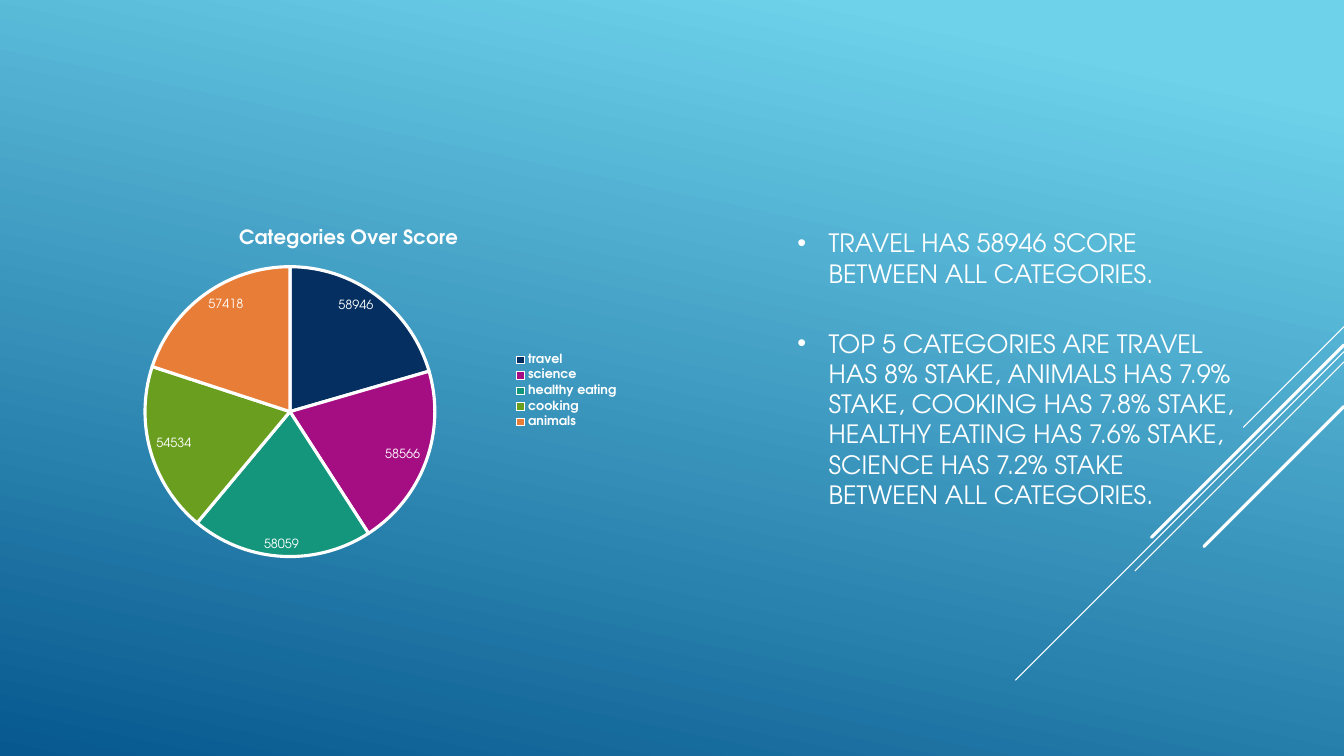
from lxml import etree
from pptx import Presentation
from pptx.chart.data import CategoryChartData
from pptx.dml.color import RGBColor
from pptx.enum.chart import XL_CHART_TYPE, XL_LABEL_POSITION, XL_LEGEND_POSITION
from pptx.enum.shapes import MSO_CONNECTOR
from pptx.enum.text import MSO_ANCHOR, MSO_AUTO_SIZE, PP_ALIGN
from pptx.oxml.ns import qn
from pptx.util import Cm, Pt

FONT = "TeX Gyre Adventor"
COLORS = {
    "white": "FFFFFF",
    "sky": "6ED2EB",
    "deep": "06588E",
    "travel": "052F61",
    "science": "A50E82",
    "healthy eating": "14967C",
    "cooking": "6A9E1F",
    "animals": "E87D37",
}
SCORES = {
    "travel": 58946,
    "science": 58566,
    "healthy eating": 58059,
    "cooking": 54534,
    "animals": 57418,
}
FINDINGS = [
    "TRAVEL HAS 58946 SCORE BETWEEN ALL CATEGORIES.",
    "TOP 5 CATEGORIES ARE TRAVEL HAS 8% STAKE, ANIMALS HAS 7.9% STAKE, "
    "COOKING HAS 7.8% STAKE, HEALTHY EATING HAS 7.6% STAKE, "
    "SCIENCE HAS 7.2% STAKE BETWEEN ALL CATEGORIES.",
]
SLIDE_W, SLIDE_H = 33.87, 19.05
# Top at the right edge, horizontal reach (cm) and width (pt)
DIAGONALS = [
    (8.23, 2.54, 0.75),
    (8.86, 8.28, 0.75),
    (9.12, 5.27, 0.75),
    (8.69, 4.85, 2.25),
    (10.24, 3.53, 2.25),
]


def rgb(name):
    return RGBColor.from_string(COLORS[name])


def style_font(font, size, bold=False, color="white"):
    font.name = FONT
    font.size = Pt(size)
    font.bold = bold
    font.color.rgb = rgb(color)


def add_text(p, text, size=18, bold=False, color="white"):
    r = p.add_run()
    r.text = text
    style_font(r.font, size, bold, color)
    return r


def set_background(s):
    fill = s.background.fill
    fill.gradient()
    fill.gradient_angle = 360 - 102
    for stop, position, color in zip(fill.gradient_stops, (0.1, 1), ("sky", "deep")):
        stop.position = position
        stop.color.rgb = rgb(color)


def add_diagonal(s, top, reach, width):
    """Draw a 45-degree line down and left from the right edge."""
    line = s.shapes.add_connector(
        MSO_CONNECTOR.STRAIGHT,
        Cm(SLIDE_W), Cm(top), Cm(SLIDE_W - reach), Cm(top + reach),
    )
    line.line.color.rgb = rgb("white")
    line.line.width = Pt(width)
    if width > 1:
        line.line._get_or_add_ln().set("cap", "rnd")
    etree.SubElement(line.element.spPr, qn("a:effectLst"))


def place_plot(chart, **box):
    """Fix the inner plot area, in fractions of the chart."""
    area = chart.element.find(".//" + qn("c:plotArea"))
    for old in area.findall(qn("c:layout")):
        area.remove(old)
    layout = etree.Element(qn("c:layout"))
    manual = etree.SubElement(layout, qn("c:manualLayout"))
    settings = {"layoutTarget": "inner", "xMode": "edge", "yMode": "edge", **box}
    for tag, value in settings.items():
        etree.SubElement(manual, qn(f"c:{tag}")).set("val", str(value))
    area.insert(0, layout)


def add_score_pie(s):
    data = CategoryChartData()
    data.categories = list(SCORES)
    data.add_series("Series 1", list(SCORES.values()))
    chart = s.shapes.add_chart(
        XL_CHART_TYPE.PIE, Cm(1.73), Cm(5.33), Cm(14.12), Cm(9.04), data
    ).chart
    style_font(chart.font, 10)

    chart.has_title = True
    add_text(chart.chart_title.text_frame.paragraphs[0],
             "Categories Over Score", size=14, bold=True)
    chart.chart_title.include_in_layout = False
    chart.has_legend = True
    chart.legend.position = XL_LEGEND_POSITION.RIGHT
    chart.legend.include_in_layout = False
    style_font(chart.legend.font, 9, bold=True)

    plot = chart.plots[0]
    plot.vary_by_categories = True
    series = plot.series[0]
    for i, category in enumerate(SCORES):
        fmt = series.points[i].format
        fmt.fill.solid()
        fmt.fill.fore_color.rgb = rgb(category)
        fmt.line.color.rgb = rgb("white")
        fmt.line.width = Pt(2.25)

    labels = series.data_labels
    labels.show_value = True
    labels.position = XL_LABEL_POSITION.INSIDE_END
    style_font(labels.font, 9)
    place_plot(chart, x=0.136, y=0.154, w=0.518, h=0.808)


def set_bullet(p, indent):
    pPr = p._p.get_or_add_pPr()
    pPr.set("marL", str(indent))
    pPr.set("indent", str(-indent))
    etree.SubElement(pPr, qn("a:buFont")).set("typeface", "Arial")
    etree.SubElement(pPr, qn("a:buChar")).set("char", "•")


def fill_findings(s, body):
    body.left, body.top, body.width, body.height = Cm(19.84), Cm(5.61), Cm(11.56), Cm(8.2)
    tf = body.text_frame
    tf.word_wrap = True
    tf.auto_size = MSO_AUTO_SIZE.NONE
    tf.vertical_anchor = MSO_ANCHOR.TOP
    for i, finding in enumerate(FINDINGS):
        p = tf.add_paragraph() if i else tf.paragraphs[0]
        p.alignment = PP_ALIGN.LEFT
        p.line_spacing = Pt(21.6)
        p.space_before = Pt(28.5 if i else 0)
        p.space_after = Pt(0)
        set_bullet(p, Cm(0.79))
        add_text(p, finding)
    s.shapes.element.append(body.element)


def main():
    prs = Presentation()
    prs.slide_width, prs.slide_height = Cm(SLIDE_W), Cm(SLIDE_H)
    s = prs.slides.add_slide(prs.slide_layouts[1])
    title = s.shapes.title.element
    title.getparent().remove(title)
    set_background(s)
    for diagonal in DIAGONALS:
        add_diagonal(s, *diagonal)
    add_score_pie(s)
    fill_findings(s, s.placeholders[1])
    prs.save("out.pptx")


if __name__ == "__main__":
    main()
